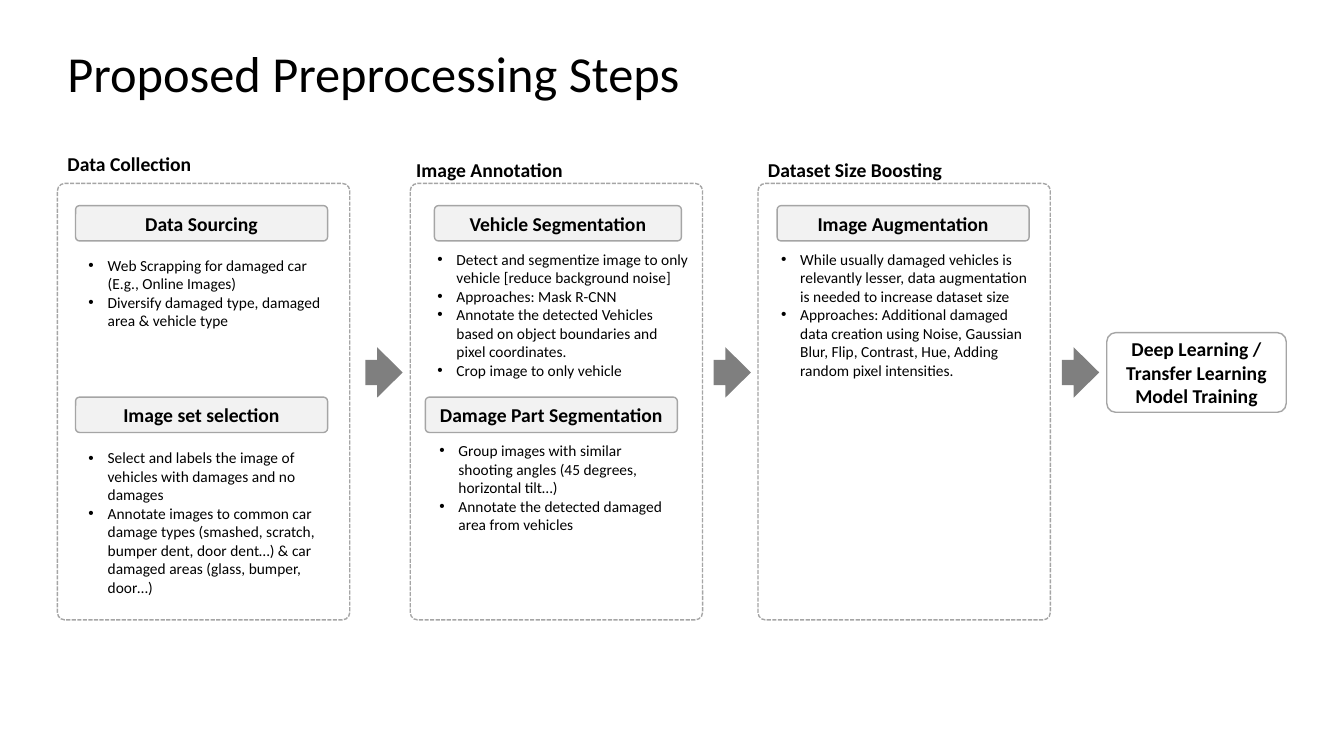
from lxml import etree
from pptx import Presentation
from pptx.dml.color import RGBColor
from pptx.enum.dml import MSO_LINE
from pptx.enum.shapes import MSO_SHAPE
from pptx.enum.text import MSO_ANCHOR, PP_ALIGN
from pptx.oxml.ns import qn
from pptx.util import Inches, Pt

BLACK = RGBColor(0x00, 0x00, 0x00)
WHITE = RGBColor(0xFF, 0xFF, 0xFF)
PALE = RGBColor(0xF2, 0xF2, 0xF2)
GREY = RGBColor(0xA5, 0xA5, 0xA5)

CELL = 0.1  # inches per grid column and row


def grid(*cells):
    return [Inches(cell * CELL) for cell in cells]


class Board:
    font = "Calibri"
    title_size, heading_size, body_size = 36, 14, 11
    indent = Inches(0.19)

    def __init__(self, slide):
        self.shapes = slide.shapes

    def fill_text(self, frame, paragraphs, size, bold=False, align=PP_ALIGN.LEFT,
                  anchor=MSO_ANCHOR.TOP, spacing=None):
        frame.word_wrap = True
        frame.vertical_anchor = anchor
        for i, text in enumerate(paragraphs):
            p = frame.paragraphs[0] if i == 0 else frame.add_paragraph()
            p.alignment = align
            if spacing:
                p.line_spacing = spacing
            run = p.add_run()
            run.text = text
            run.font.name = self.font
            run.font.size = Pt(size)
            run.font.bold = bold
            run.font.color.rgb = BLACK

    def shape(self, kind, box, adjustments, fill=None, line=None):
        shape = self.shapes.add_shape(kind, *grid(*box))
        shape.shadow.inherit = False
        for i, value in enumerate(adjustments):
            shape.adjustments[i] = value
        if fill is None:
            shape.fill.background()
        else:
            shape.fill.solid()
            shape.fill.fore_color.rgb = fill
        if line is None:
            shape.line.fill.background()
        else:
            shape.line.color.rgb = line
            shape.line.width = Pt(1)
        return shape

    def text(self, box, paragraphs, size, **style):
        frame = self.shapes.add_textbox(*grid(*box)).text_frame
        self.fill_text(frame, paragraphs, size, **style)
        return frame

    def title(self, box, text):
        self.text(box, [text], self.title_size, anchor=MSO_ANCHOR.MIDDLE, spacing=0.9)

    def heading(self, box, text):
        self.text(box, [text], self.heading_size, bold=True, spacing=0.9)

    def bullets(self, box, items):
        for p in self.text(box, items, self.body_size).paragraphs:
            props = p._p.get_or_add_pPr()
            props.set("marL", str(int(self.indent)))
            props.set("indent", str(-int(self.indent)))
            etree.SubElement(props, qn("a:buFont")).set("typeface", "Arial")
            etree.SubElement(props, qn("a:buChar")).set("char", "•")

    def panel(self, box):
        panel = self.shape(MSO_SHAPE.ROUNDED_RECTANGLE, box, [0.025], line=GREY)
        panel.line.dash_style = MSO_LINE.SQUARE_DOT

    def label(self, box, text, fill=PALE):
        label = self.shape(MSO_SHAPE.ROUNDED_RECTANGLE, box, [0.112], fill, GREY)
        self.fill_text(label.text_frame, [text], self.heading_size, bold=True,
                       align=PP_ALIGN.CENTER, anchor=MSO_ANCHOR.MIDDLE)

    def arrow(self, box):
        arrow = self.shape(MSO_SHAPE.DOWN_ARROW, box, [0.5, 0.686], BLACK)
        arrow.rotation = 270
        color = arrow._element.spPr.find(qn("a:solidFill"))[0]
        etree.SubElement(color, qn("a:alpha")).set("val", "50000")


# Panel left, heading box, heading, then steps:
# (label left, label width, label, bullet box, bullets)
PANEL_TOP, PANEL_W, PANEL_H = 18.2, 29, 43.3
LABEL_TOPS, LABEL_H = (20.4, 39.4), 3.5
STAGES = [
    (5.7, (5.7, 14.8, 23.5, 2.8), "Data Collection", [
        (7.5, 25, "Data Sourcing", (7.8, 24.9, 25, 8.4), [
            "Web Scrapping for damaged car (E.g., Online Images)",
            "Diversify damaged type, damaged area & vehicle type"]),
        (7.5, 25, "Image set selection", (7.8, 44, 25, 15.8), [
            "Select and labels the image of vehicles with damages and no damages",
            "Annotate images to common car damage types (smashed, scratch, bumper dent, "
            "door dent…) & car damaged areas (glass, bumper, door…)"])]),
    (40.7, (40.3, 15.4, 29.9, 3.2), "Image Annotation", [
        (43.1, 24.5, "Vehicle Segmentation", (42.4, 24.3, 27, 14), [
            "Detect and segmentize image to only vehicle [reduce background noise]",
            "Approaches: Mask R-CNN",
            "Annotate the detected Vehicles based on object boundaries and pixel coordinates.",
            "Crop image to only vehicle"]),
        (42.2, 25, "Damage Part Segmentation", (42.6, 43.3, 25, 12.1), [
            "Group images with similar shooting angles (45 degrees, horizontal tilt…)",
            "Annotate the detected damaged area from vehicles"])]),
    (75.2, (75.2, 15.4, 29.9, 3.2), "Dataset Size Boosting", [
        (77.1, 25, "Image Augmentation", (76.5, 24.3, 27, 14), [
            "While usually damaged vehicles is relevantly lesser, data augmentation "
            "is needed to increase dataset size",
            "Approaches: Additional damaged data creation using Noise, Gaussian Blur, "
            "Flip, Contrast, Hue, Adding random pixel intensities."])]),
]

prs = Presentation()
prs.slide_width, prs.slide_height = grid(133.33, 75)
board = Board(prs.slides.add_slide(prs.slide_layouts[6]))

board.title((5.7, 3.6, 115, 7.9), "Proposed Preprocessing Steps")

# Stages with their steps
for left, heading_box, heading, steps in STAGES:
    board.panel((left, PANEL_TOP, PANEL_W, PANEL_H))
    board.heading(heading_box, heading)
    for top, (label_left, width, label, bullet_box, items) in zip(LABEL_TOPS, steps):
        board.label((label_left, top, width, LABEL_H), label)
        board.bullets(bullet_box, items)

# Arrows between stages and the final result
for i in range(len(STAGES)):
    board.arrow((35.6 + 34.55 * i, 35.1, 5, 3.7))
board.label((109.8, 33, 17.8, 7.9), "Deep Learning / Transfer Learning Model Training", WHITE)

prs.save("out.pptx")
